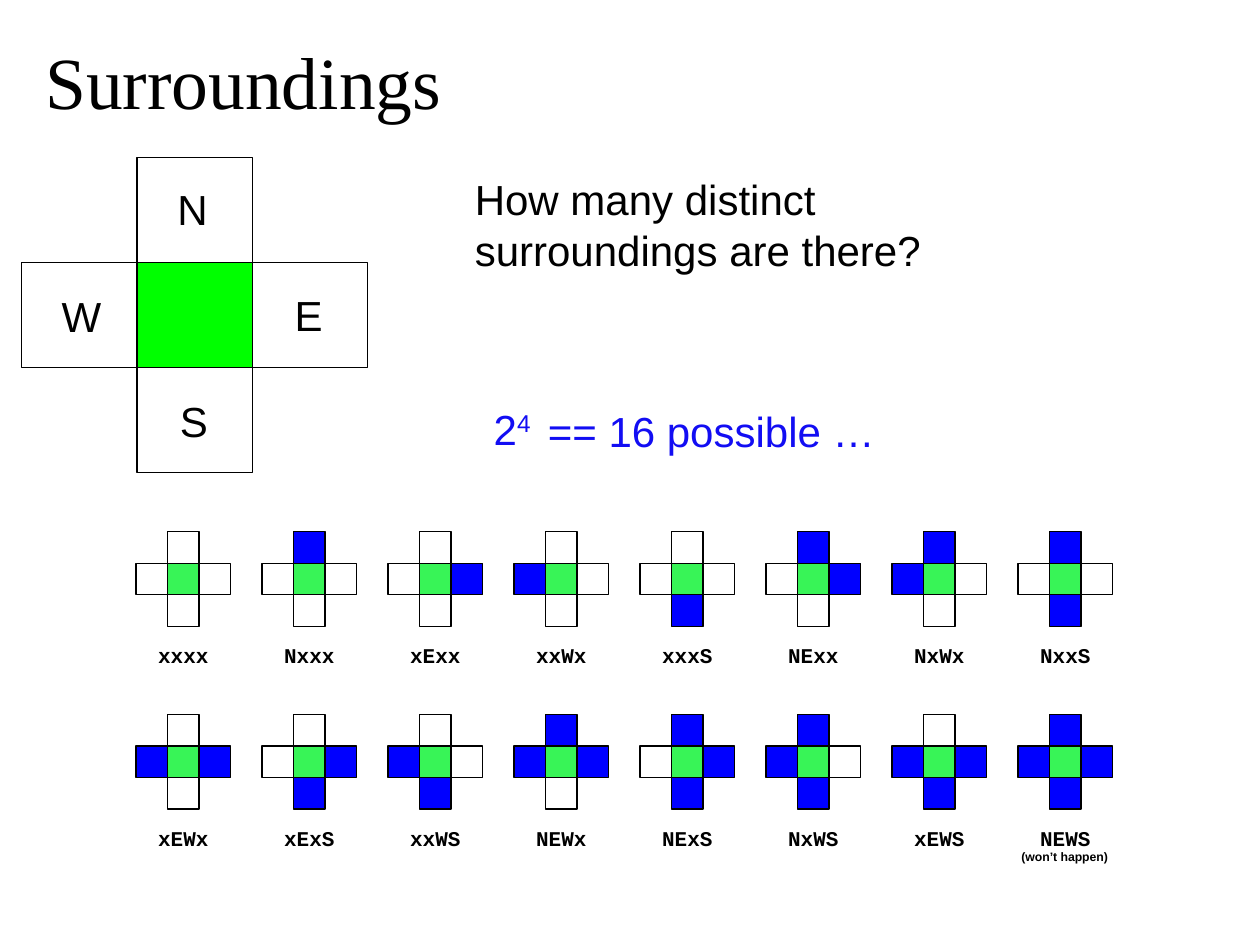
from dataclasses import dataclass

from pptx import Presentation
from pptx.dml.color import RGBColor
from pptx.enum.shapes import MSO_SHAPE as Shape
from pptx.enum.text import MSO_AUTO_SIZE as AutoSize, PP_ALIGN as Align
from pptx.util import Inches, Pt


@dataclass(frozen=True)
class Theme:
    ink: RGBColor = RGBColor(0x00, 0x00, 0x00)
    answer: RGBColor = RGBColor(0x12, 0x0D, 0xF3)
    center: RGBColor = RGBColor(0x00, 0xFF, 0x00)
    small_center: RGBColor = RGBColor(0x38, 0xF4, 0x57)
    blocked: RGBColor = RGBColor(0x00, 0x00, 0xFF)
    empty: RGBColor = RGBColor(0xFF, 0xFF, 0xFF)
    title_font: str = "Times New Roman"
    body_font: str = "Arial"
    code_font: str = "Courier New"
    title_size: float = 42
    body_size: float = 24
    code_size: float = 12
    note_size: float = 7
    outline: float = 0.75


# Column and row of each neighbour in a 3 by 3 grid
NEIGHBOURS = {"N": (1, 0), "W": (0, 1), "E": (2, 1), "S": (1, 2)}


class SlideBuilder:
    def __init__(self, page, theme):
        self.page = page
        self.theme = theme

    def cell(self, left, top, width, height, fill=None):
        box = self.page.shapes.add_shape(
            Shape.RECTANGLE, Inches(left), Inches(top), Inches(width), Inches(height))
        box.shadow.inherit = False
        if fill is None:
            box.fill.background()
        else:
            box.fill.solid()
            box.fill.fore_color.rgb = fill
        box.line.color.rgb = self.theme.ink
        box.line.width = Pt(self.theme.outline)

    def cross(self, left, top, width, height, center, fills):
        """Draw the four neighbours, then the center cell."""
        for name, (column, row) in NEIGHBOURS.items():
            self.cell(left + column * width, top + row * height, width, height, fills.get(name))
        self.cell(left + width, top + height, width, height, center)

    def text(self, words, left, top, width, height, size=None, font=None,
             color=None, bold=False, align=Align.LEFT, wrap=True):
        box = self.page.shapes.add_textbox(
            Inches(left), Inches(top), Inches(width), Inches(height))
        frame = box.text_frame
        frame.text = words
        frame.word_wrap = wrap
        frame.auto_size = AutoSize.SHAPE_TO_FIT_TEXT
        para = frame.paragraphs[0]
        para.alignment = align
        self.style(para.runs[0], size, font, color, bold)
        return para

    def style(self, span, size=None, font=None, color=None, bold=False):
        span.font.size = Pt(size or self.theme.body_size)
        span.font.name = font or self.theme.body_font
        span.font.color.rgb = color or self.theme.ink
        span.font.bold = bold

    def superscript(self, para, words, color):
        span = para.add_run()
        span.text = words
        self.style(span, color=color)
        span.font._element.set("baseline", "30000")


def main():
    deck = Presentation()
    deck.slide_width, deck.slide_height = Inches(10), Inches(7.5)
    page = deck.slides.add_slide(deck.slide_layouts[6])
    theme = Theme()
    builder = SlideBuilder(page, theme)

    # Title and question
    builder.text("Surroundings", 0.26, 0.24, 3.99, 0.8, theme.title_size, theme.title_font)
    builder.text("How many distinct surroundings are there?", 3.67, 1.33, 4.67, 0.9)

    # Large compass cross
    builder.cross(0.17, 1.25, 11 / 12, 10 / 12, theme.center, {})
    for letter, left, top, width in (("N", 1.31, 1.41, 0.44), ("E", 2.24, 2.25, 0.42),
                                     ("W", 0.39, 2.26, 0.52), ("S", 1.33, 3.09, 0.42)):
        builder.text(letter, left, top, width, 0.5, wrap=False)

    # Answer
    power = builder.text("2", 3.82, 3.15, 0.51, 0.5, color=theme.answer, wrap=False)
    builder.superscript(power, "4", theme.answer)
    builder.text("== 16 possible …", 4.25, 3.17, 2.8, 0.5, color=theme.answer, wrap=False)

    # All sixteen patterns: a letter marks a blocked neighbour
    pattern_rows = (
        "xxxx Nxxx xExx xxWx xxxS NExx NxWx NxxS".split(),
        "xEWx xExS xxWS NEWx NExS NxWS xEWS NEWS".split(),
    )
    side = 0.25
    for row, patterns in enumerate(pattern_rows):
        top = 4.22 + row * 1.45
        for column, pattern in enumerate(patterns):
            left = 1.08 + column
            fills = {name: theme.blocked if name in pattern else theme.empty
                     for name in NEIGHBOURS}
            builder.cross(left, top, side, side, theme.small_center, fills)
            builder.text(pattern, left, top + 0.83, 3 * side, 0.3, theme.code_size,
                         theme.code_font, bold=True, align=Align.CENTER)

    # Remark under the last pattern
    builder.text("(won’t happen)", 7.91, 6.69, 1.08, 0.22, theme.note_size,
                 bold=True, align=Align.CENTER)

    deck.save("out.pptx")


if __name__ == "__main__":
    main()
